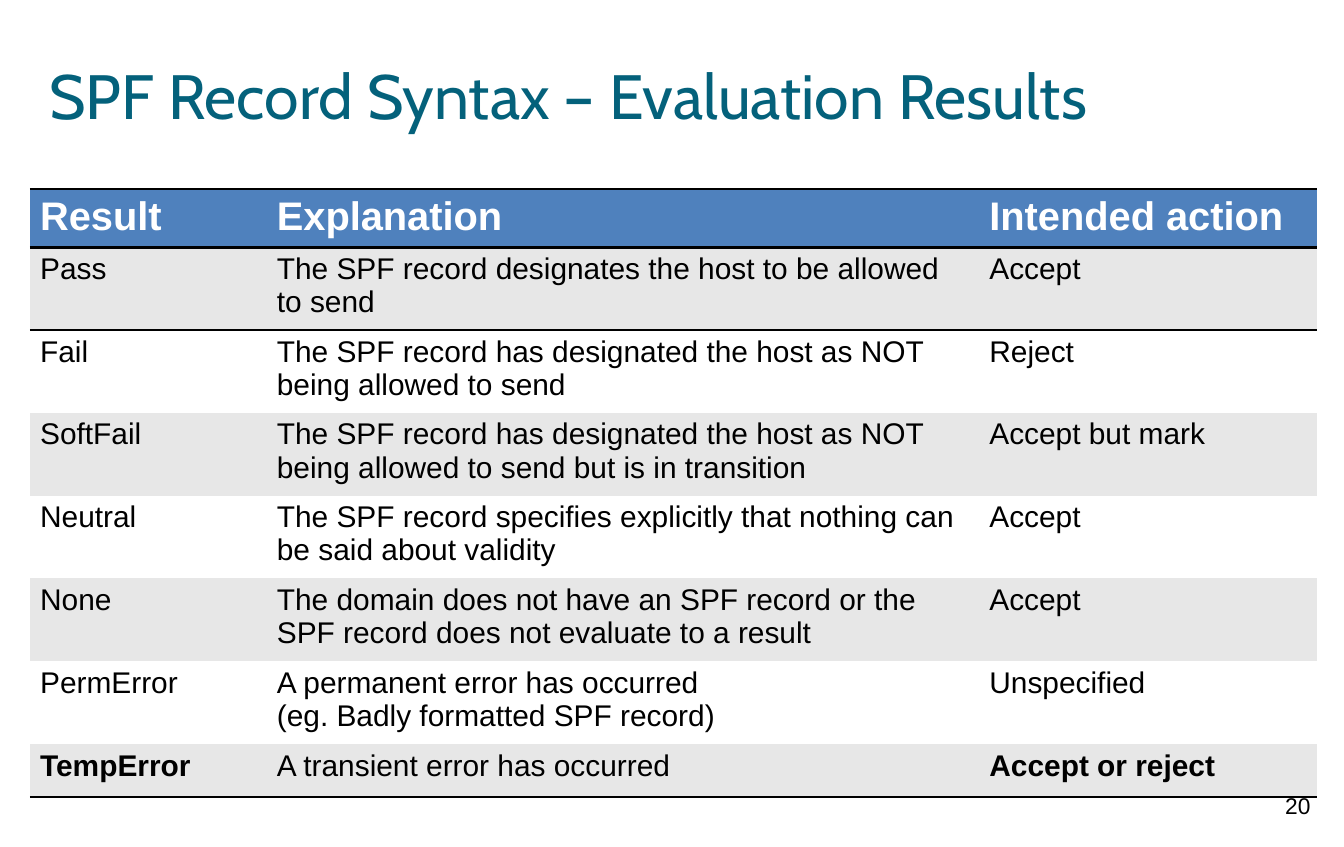
import pptx
import pptx.util
import pptx.dml.color
import pptx.enum.text
import pptx.oxml
import pptx.oxml.ns

Pt = pptx.util.Pt
RGBColor = pptx.dml.color.RGBColor
PP_ALIGN = pptx.enum.text.PP_ALIGN
MSO_ANCHOR = pptx.enum.text.MSO_ANCHOR

TEAL = RGBColor(0x04, 0x61, 0x7B)
BLUE = RGBColor(0x4F, 0x81, 0xBD)
GREY = RGBColor(0xE7, 0xE7, 0xE7)
WHITE = RGBColor(0xFF, 0xFF, 0xFF)
BLACK = RGBColor(0, 0, 0)

NO_GRID_STYLE = "{2D5ABB26-0587-4C30-8999-92F81FD0307C}"

TITLE = dict(name="Cabin", size=Pt(44), color=TEAL)
NUMBER = dict(name="Arial", size=Pt(16), color=BLACK)
HEADER = dict(name="Arial", size=Pt(28), color=WHITE, bold=True)
BODY = dict(name="Arial", size=Pt(21), color=BLACK, bold=False)
STRONG = dict(BODY, bold=True)

RESULTS = [
    ("Result", "Explanation", "Intended action"),
    ("Pass", "The SPF record designates the host to be allowed to send", "Accept"),
    ("Fail", "The SPF record has designated the host as NOT being allowed to send", "Reject"),
    ("SoftFail", "The SPF record has designated the host as NOT being allowed to send "
     "but is in transition", "Accept but mark"),
    ("Neutral", "The SPF record specifies explicitly that nothing can be said about validity",
     "Accept"),
    ("None", "The domain does not have an SPF record or the SPF record does not evaluate "
     "to a result", "Accept"),
    ("PermError", "A permanent error has occurred\n(eg. Badly formatted SPF record)",
     "Unspecified"),
    ("TempError", "A transient error has occurred", "Accept or reject"),
]


class SlideBuilder:
    def __init__(self, prs):
        self.s = prs.slides.add_slide(prs.slide_layouts[6])

    def fill_text(self, tf, text, style):
        p = tf.paragraphs[0]
        p.text = text
        for r in p.runs:
            for key, value in style.items():
                if key == "color":
                    r.font.color.rgb = value
                else:
                    setattr(r.font, key, value)
        return p

    def text(self, text, box, style, inset, align, anchor):
        sp = self.s.shapes.add_textbox(*(Pt(v) for v in box))
        tf = sp.text_frame
        frame = dict(word_wrap=True, vertical_anchor=anchor)
        for side in ("left", "right", "top", "bottom"):
            frame["margin_" + side] = Pt(inset)
        for key, value in frame.items():
            setattr(tf, key, value)
        self.fill_text(tf, text, style).alignment = align

    def border(self, cell, side):
        ns = pptx.oxml.ns.nsdecls("a")
        line = pptx.oxml.parse_xml(
            f'<a:ln{side} {ns} w="{Pt(2)}"><a:solidFill><a:srgbClr val="{BLACK}"/>'
            f'</a:solidFill></a:ln{side}>')
        cell._tc.get_or_add_tcPr().append(line)

    def table(self, rows, left, top, widths, heights):
        shape = self.s.shapes.add_table(
            len(rows), len(widths), Pt(left), Pt(top), Pt(sum(widths)), Pt(sum(heights)))
        table = shape.table
        table.horz_banding = False
        table._tbl.tblPr[0].text = NO_GRID_STYLE
        for column, width in zip(table.columns, widths):
            column.width = Pt(width)
        last = len(rows) - 1
        for i, texts in enumerate(rows):
            table.rows[i].height = Pt(heights[i])
            for j, text in enumerate(texts):
                cell = table.cell(i, j)
                strong = i == last and j != 1
                style = HEADER if i == 0 else STRONG if strong else BODY
                self.fill_text(cell.text_frame, text, style)
                for side in {0: "TB", 1: "T", last: "B"}.get(i, ""):
                    self.border(cell, side)
                cell.fill.solid()
                cell.fill.fore_color.rgb = BLUE if i == 0 else GREY if i % 2 else WHITE


def main():
    prs = pptx.Presentation()
    prs.slide_width, prs.slide_height = Pt(945), Pt(595.5)
    slide = SlideBuilder(prs)
    slide.text("20", (884, 549.5, 57, 45), NUMBER, 7.2, PP_ALIGN.CENTER, MSO_ANCHOR.TOP)
    slide.text("SPF Record Syntax – Evaluation Results", (34.5, 16.5, 878, 99.5), TITLE, 0,
               PP_ALIGN.LEFT, MSO_ANCHOR.MIDDLE)
    slide.table(RESULTS, 21, 133, (166.5, 501, 237.5), [38] + [58.2] * 6 + [37.2])
    prs.save("out.pptx")


if __name__ == "__main__":
    main()
